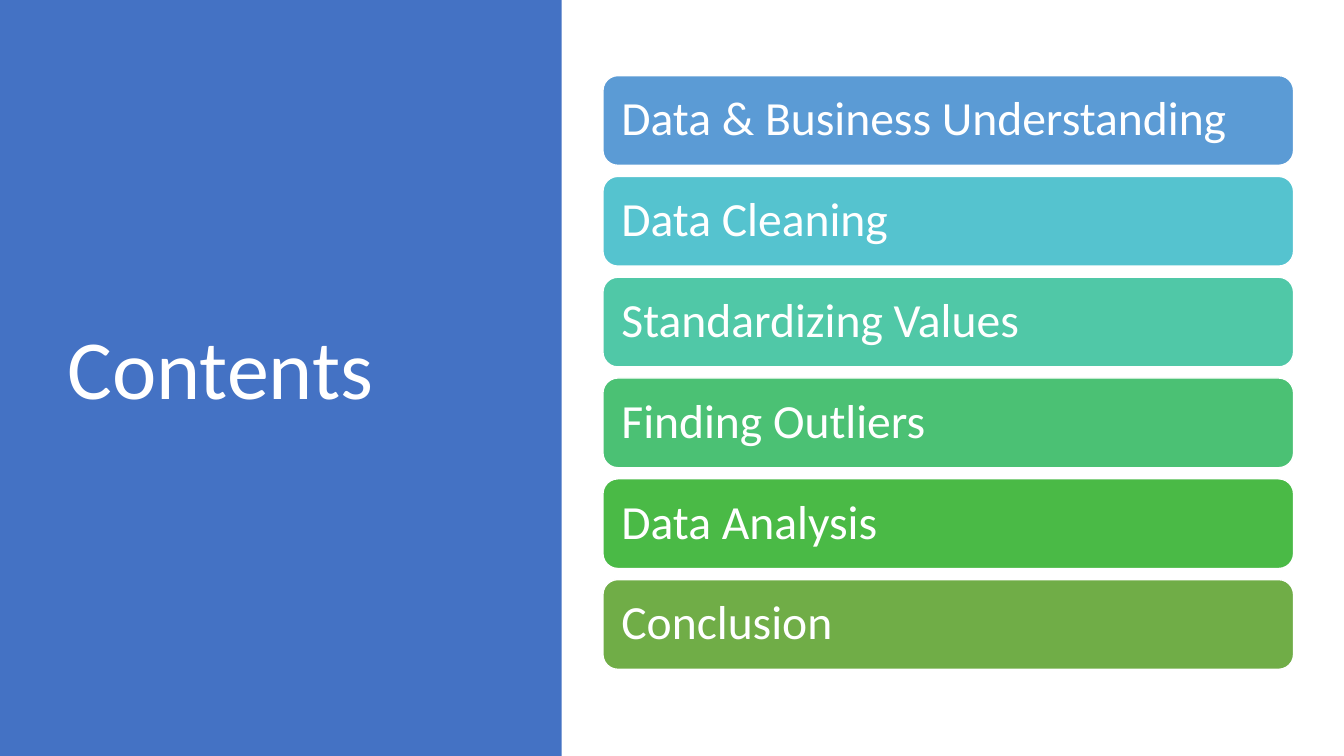
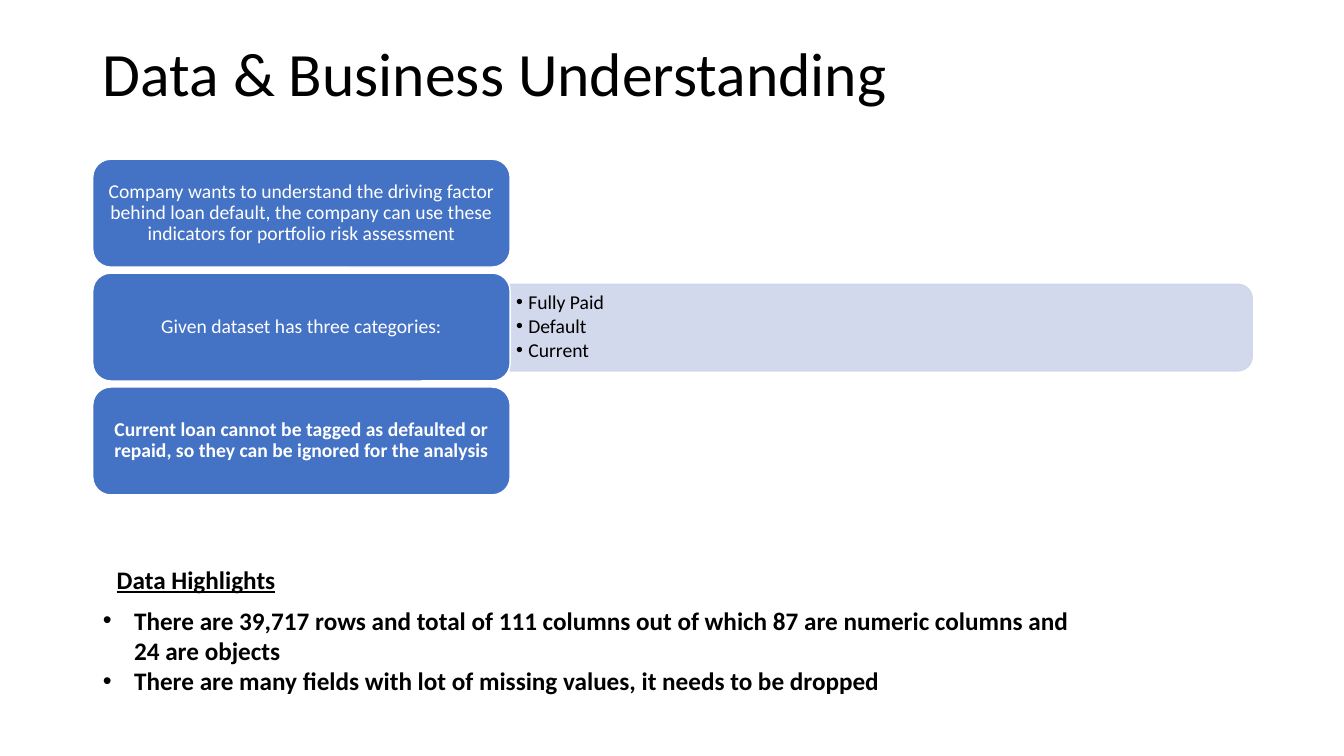
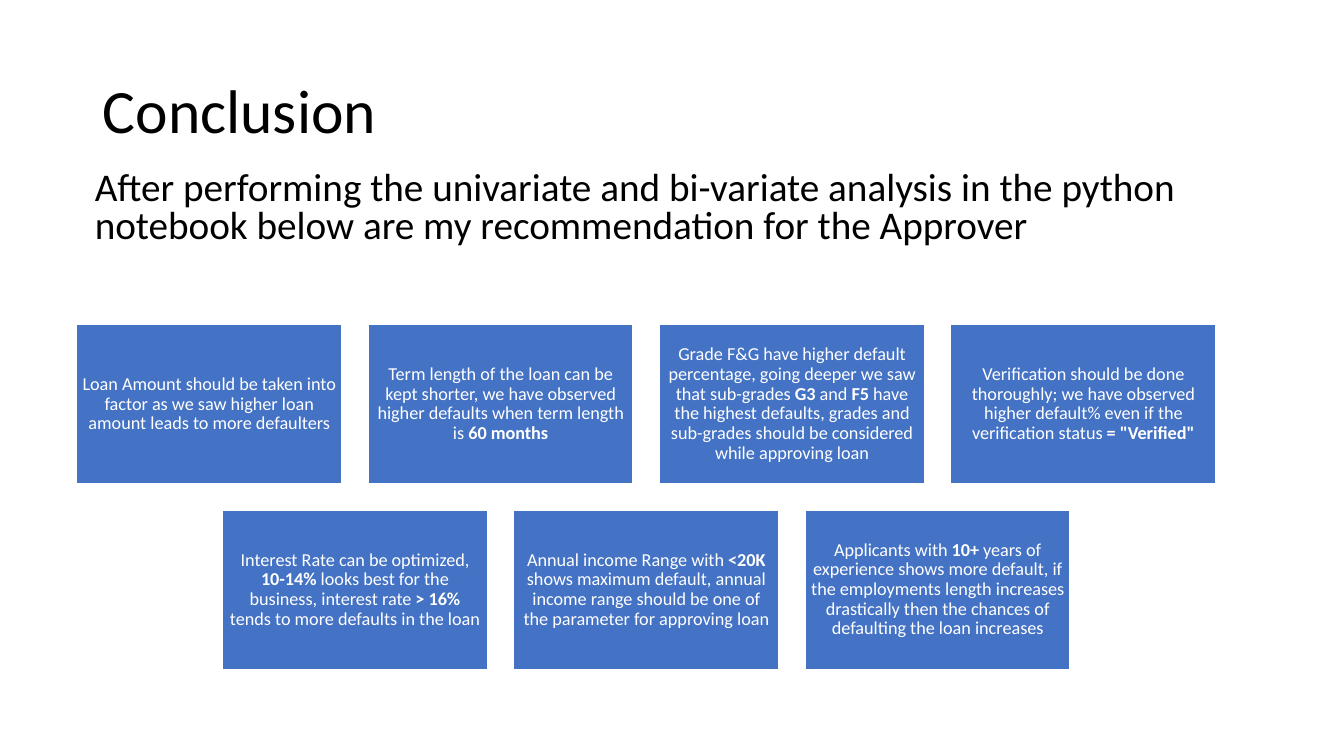
from dataclasses import dataclass

from lxml import etree
from pptx import Presentation
from pptx.dml.color import RGBColor
from pptx.enum.shapes import MSO_SHAPE
from pptx.enum.text import MSO_ANCHOR, MSO_AUTO_SIZE, PP_ALIGN
from pptx.oxml.ns import qn
from pptx.util import Inches, Pt

RECT = MSO_SHAPE.RECTANGLE
ROUNDED = MSO_SHAPE.ROUNDED_RECTANGLE
ROUNDED_TOP = MSO_SHAPE.ROUND_2_SAME_RECTANGLE
LEFT, CENTER = PP_ALIGN.LEFT, PP_ALIGN.CENTER
TOP, MIDDLE = MSO_ANCHOR.TOP, MSO_ANCHOR.MIDDLE
NO_AUTOFIT = MSO_AUTO_SIZE.NONE

FONT = "Calibri"
BLUE, PALE, WHITE, BLACK = "4472C4", "CFD5EA", "FFFFFF", "000000"
TITLE_ONLY, TITLE_AND_BODY = 5, 1


@dataclass(frozen=True)
class Box:
    left: float
    top: float
    width: float
    height: float

    def lengths(self):
        return tuple(Inches(n) for n in (self.left, self.top, self.width, self.height))


@dataclass(frozen=True)
class Topic:
    label: str
    color: str


TOPICS = [
    Topic("Data & Business Understanding", "5B9BD5"),
    Topic("Data Cleaning", "55C3CF"),
    Topic("Standardizing Values", "50C8A7"),
    Topic("Finding Outliers", "4BC174"),
    Topic("Data Analysis", "4ABA46"),
    Topic("Conclusion", "70AD47"),
]

# Text between ** marks is bold.
STATEMENTS = [
    "Company wants to understand the driving factor behind loan default, "
    "the company can use these indicators for portfolio risk assessment",
    "Given dataset has three categories:",
    "**Current loan cannot be tagged as defaulted or repaid, "
    "so they can be ignored for the analysis**",
]
CATEGORIES = ["Fully Paid", "Default", "Current"]
HIGHLIGHTS = [
    "There are 39,717 rows and total of 111 columns out of which 87 are "
    "numeric columns and 24 are objects",
    "There are many fields with lot of missing values, it needs to be dropped",
]
RECOMMENDATION_ROWS = [
    [
        "Loan Amount should be taken into factor as we saw higher loan amount "
        "leads to more defaulters",
        "Term length of the loan can be kept shorter, we have observed higher "
        "defaults when term length is **60 months**",
        "Grade F&G have higher default percentage, going deeper we saw that "
        "sub-grades **G3** and** F5 **have the highest defaults, grades and "
        "sub-grades should be considered while approving loan",
        "Verification should be done thoroughly; we have observed higher "
        "default% even if the verification status **= \"Verified\"**",
    ],
    [
        "Interest Rate can be optimized, **10-14% **looks best for the business, "
        "interest rate **> 16% **tends to more defaults in the loan",
        "Annual income Range with** <20K **shows maximum default, annual income "
        "range should be one of the parameter for approving loan",
        "Applicants with **10+ **years of experience shows more default, if the "
        "employments length increases drastically then the chances of defaulting "
        "the loan increases",
    ],
]


def rgb(color: str) -> RGBColor:
    return RGBColor.from_string(color)


def set_bullet(paragraph, indent: float) -> None:
    """Hang a round bullet by indent inches; zero removes the bullet."""
    properties = paragraph._p.get_or_add_pPr()
    properties.set("marL", str(Inches(indent)))
    properties.set("indent", str(-Inches(indent)))
    if indent:
        etree.SubElement(properties, qn("a:buFont")).set("typeface", "Arial")
        etree.SubElement(properties, qn("a:buChar")).set("char", "•")
    else:
        etree.SubElement(properties, qn("a:buNone"))


def write(shape, *paragraphs: str, size: float, color: str = BLACK, bold: bool = False,
          underline: bool = False, align=LEFT, anchor=TOP, insets=(0.1, 0.05),
          line_spacing: float = 1.0, before: float = 0, after: float = 0,
          bullet_indent: float = 0) -> None:
    """Fill a shape with text; insets are horizontal and vertical inches."""
    frame = shape.text_frame
    frame.word_wrap = True
    frame.auto_size = NO_AUTOFIT
    frame.vertical_anchor = anchor
    frame.margin_left = frame.margin_right = Inches(insets[0])
    frame.margin_top = frame.margin_bottom = Inches(insets[1])
    for number, text in enumerate(paragraphs):
        paragraph = frame.add_paragraph() if number else frame.paragraphs[0]
        paragraph.alignment = align
        paragraph.line_spacing = line_spacing
        paragraph.space_before, paragraph.space_after = Pt(before), Pt(after)
        set_bullet(paragraph, bullet_indent)
        for part, words in enumerate(text.split("**")):
            if not words:
                continue
            run = paragraph.add_run()
            run.text = words
            font = run.font
            font.name, font.size, font.color.rgb = FONT, Pt(size), rgb(color)
            font.bold = bold or part % 2 == 1
            font.underline = underline


def place(shape, box: Box):
    shape.left, shape.top, shape.width, shape.height = box.lengths()
    return shape


def add_block(slide, kind, box: Box, fill: str, line: str | None = WHITE):
    block = slide.shapes.add_shape(kind, *box.lengths())
    block.shadow.inherit = False
    block.fill.solid()
    block.fill.fore_color.rgb = rgb(fill)
    if line:
        block.line.color.rgb = rgb(line)
        block.line.width = Pt(1)
    else:
        block.line.fill.background()
    return block


def add_slide(deck, layout: int, title: str, box: Box, size: float = 44,
              color: str = BLACK):
    slide = deck.slides.add_slide(deck.slide_layouts[layout])
    write(place(slide.shapes.title, box), title, size=size, color=color,
          anchor=MIDDLE, line_spacing=0.9)
    return slide


def build_contents(deck) -> None:
    slide = add_slide(deck, TITLE_ONLY, "Contents", Box(0.57, 0.68, 4.16, 6.02), 60, WHITE)
    panel = add_block(slide, RECT, Box(0, 0, 5.57, 7.5), BLUE, line=None)
    panel.element.addnext(slide.shapes.title.element)
    for row, topic in enumerate(TOPICS):
        bar = add_block(slide, ROUNDED, Box(5.98, 0.75 + row, 6.85, 0.89), topic.color)
        write(bar, topic.label, size=34, color=WHITE, anchor=MIDDLE,
              insets=(0.14, 0.14), line_spacing=0.9)


def build_understanding(deck) -> None:
    slide = add_slide(deck, TITLE_AND_BODY, "Data & Business Understanding",
                      Box(0.92, 0.03, 11.5, 1.45))
    strip = add_block(slide, ROUNDED_TOP, Box(8.31, -0.43, 0.86, 7.36), PALE, line=PALE)
    strip.rotation = 90
    for color in strip.element.spPr.iter(qn("a:srgbClr")):
        etree.SubElement(color, qn("a:alpha")).set("val", "90000")
    categories = slide.shapes.add_textbox(*Box(5.06, 2.86, 7.32, 0.77).lengths())
    write(categories, *CATEGORIES, size=14, anchor=MIDDLE, insets=(0.06, 0.03),
          line_spacing=0.9, after=2, bullet_indent=0.12)
    for row, statement in enumerate(STATEMENTS):
        block = add_block(slide, ROUNDED, Box(0.92, 1.58 + 1.13 * row, 4.14, 1.07), BLUE)
        write(block, statement, size=14, color=WHITE, align=CENTER, anchor=MIDDLE,
              insets=(0.06, 0.03), line_spacing=0.9)
    highlights = place(slide.placeholders[1], Box(0.92, 5.95, 9.95, 1.01))
    write(highlights, *HIGHLIGHTS, size=18, bold=True, bullet_indent=0.31)
    heading = slide.shapes.add_textbox(*Box(1.06, 5.55, 2.36, 0.4).lengths())
    write(heading, "Data Highlights", size=18, bold=True, underline=True)


def build_conclusion(deck) -> None:
    slide = add_slide(deck, TITLE_AND_BODY, "Conclusion", Box(0.92, 0.4, 11.5, 1.45))
    intro = place(slide.placeholders[1], Box(0.84, 1.65, 11.5, 0.92))
    write(intro, "After performing the univariate and bi-variate analysis in the python "
          "notebook below are my recommendation for the Approver",
          size=28, line_spacing=0.8, before=10)
    width, height, gap, middle = 2.63, 1.58, 0.26, 6.41
    for row, recommendations in enumerate(RECOMMENDATION_ROWS):
        count = len(recommendations)
        left = middle - (count * width + (count - 1) * gap) / 2
        top = 3.22 + row * (height + gap)
        for column, recommendation in enumerate(recommendations):
            card = add_block(slide, RECT,
                             Box(left + column * (width + gap), top, width, height), BLUE)
            write(card, recommendation, size=13, color=WHITE, align=CENTER,
                  anchor=MIDDLE, insets=(0.05, 0.05), line_spacing=0.9)


def main() -> None:
    deck = Presentation()
    deck.slide_width, deck.slide_height = Inches(13.33), Inches(7.5)
    build_contents(deck)
    build_understanding(deck)
    build_conclusion(deck)
    deck.save("out.pptx")


if __name__ == "__main__":
    main()
